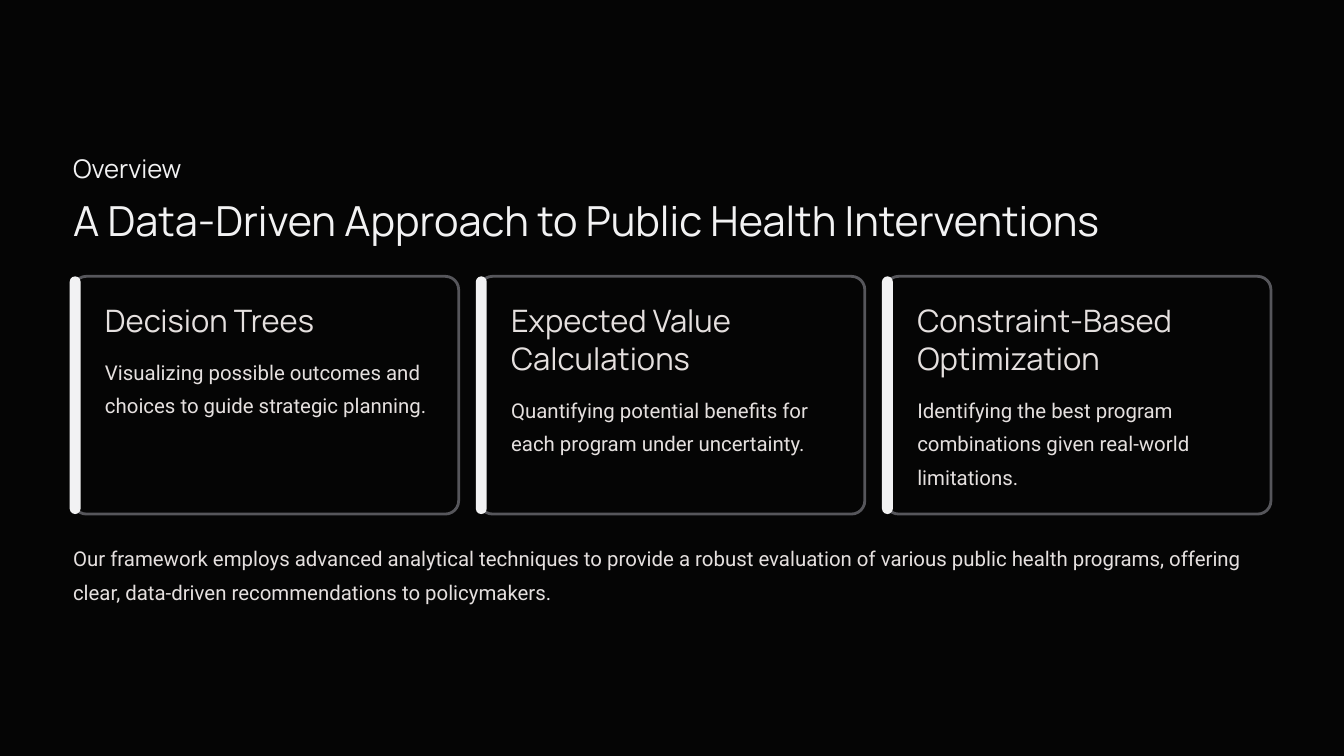
from pptx import Presentation
from pptx.dml.color import RGBColor
from pptx.enum.shapes import MSO_SHAPE
from pptx.enum.text import MSO_ANCHOR, MSO_AUTO_SIZE, PP_ALIGN
from pptx.util import Inches, Pt

INK, WHITE, SAND, GREY = "050505", "F2F2F3", "E5E0DF", "56565B"
MARGIN, CONTENT_WIDTH = 0.87, 14.26
CARD_TOP, CARD_WIDTH, CARD_HEIGHT = 3.29, 4.59, 2.83
HEADING_LINE, BODY_LINE = 33, 28.5

CARDS = [
    ("Decision Trees", 1,
     "Visualizing possible outcomes and choices to guide strategic planning.", 2),
    ("Expected Value Calculations", 2,
     "Quantifying potential benefits for each program under uncertainty.", 2),
    ("Constraint-Based Optimization", 2,
     "Identifying the best program combinations given real-world limitations.", 3),
]
CLOSING = ("Our framework employs advanced analytical techniques to provide a robust "
           "evaluation of various public health programs, offering clear, data-driven "
           "recommendations to policymakers.")


def paint(color_format, hex_color):
    color_format.rgb = RGBColor.from_string(hex_color)


def fill_solid(fill, hex_color):
    fill.solid()
    paint(fill.fore_color, hex_color)


def write(page, text, left, top, width, height, *, size, leading,
          font="Roboto", color=SAND, wrap=True, box=None):
    """Fill the given box, or a new text box, with one formatted paragraph."""
    position = [Inches(value) for value in (left, top, width, height)]
    if box is None:
        box = page.shapes.add_textbox(*position)
    box.left, box.top, box.width, box.height = position
    frame = box.text_frame
    frame.margin_left = frame.margin_right = frame.margin_top = frame.margin_bottom = 0
    frame.word_wrap = wrap
    frame.auto_size = MSO_AUTO_SIZE.NONE
    frame.vertical_anchor = MSO_ANCHOR.TOP
    para = frame.paragraphs[0]
    para.alignment = PP_ALIGN.LEFT
    para.line_spacing = Pt(leading)
    para.space_before = Pt(0)
    span = para.add_run()
    span.text = text
    span.font.name = font
    span.font.size = Pt(size)
    paint(span.font.color, color)


def add_rounded(page, left, top, width, height, *, radius, fill, line=None):
    shape = page.shapes.add_shape(MSO_SHAPE.ROUNDED_RECTANGLE, Inches(left),
                                  Inches(top), Inches(width), Inches(height))
    shape.shadow.inherit = False
    shape.adjustments[0] = radius
    fill_solid(shape.fill, fill)
    if line:
        paint(shape.line.color, line)
        shape.line.width = Pt(2.4)
    else:
        shape.line.fill.background()


def add_header(page, left, top, width):
    write(page, "Overview", left, top, 3.1, 0.39, size=22, leading=27.5,
          font="Manrope", color=WHITE, wrap=False)
    write(page, "A Data-Driven Approach to Public Health Interventions",
          left, top + 0.48, width, 0.62, size=35.5, leading=44.5,
          font="Manrope", color=WHITE, wrap=False, box=page.shapes.title)


def add_card(page, left, top, width, height, heading, heading_lines, body, body_lines):
    add_rounded(page, left, top, width, height, radius=0.056, fill=INK, line=GREY)
    add_rounded(page, left - 0.04, top, 0.13, height, radius=0.5, fill=WHITE)
    text_left, text_top, text_width = left + 0.38, top + 0.28, width - 0.66
    heading_height = heading_lines * HEADING_LINE / 72
    write(page, heading, text_left, text_top, text_width, heading_height,
          size=26.5, leading=HEADING_LINE, font="Manrope")
    write(page, body, text_left, text_top + heading_height + 0.15, text_width,
          body_lines * BODY_LINE / 72, size=17.5, leading=BODY_LINE)


def add_card_row(page, left, top, width, height):
    pitch = (width - CARD_WIDTH) / (len(CARDS) - 1)
    for column, card in enumerate(CARDS):
        add_card(page, left + column * pitch, top, CARD_WIDTH, height, *card)


def main():
    deck = Presentation()
    deck.slide_width, deck.slide_height = Inches(16), Inches(9)
    page = deck.slides.add_slide(deck.slide_layouts[5])
    fill_solid(page.background.fill, INK)
    add_header(page, MARGIN, 1.81, CONTENT_WIDTH)
    add_card_row(page, MARGIN, CARD_TOP, CONTENT_WIDTH, CARD_HEIGHT)
    write(page, CLOSING, MARGIN, CARD_TOP + CARD_HEIGHT + 0.28, CONTENT_WIDTH, 0.79,
          size=17.5, leading=BODY_LINE)
    deck.save("out.pptx")


if __name__ == "__main__":
    main()
